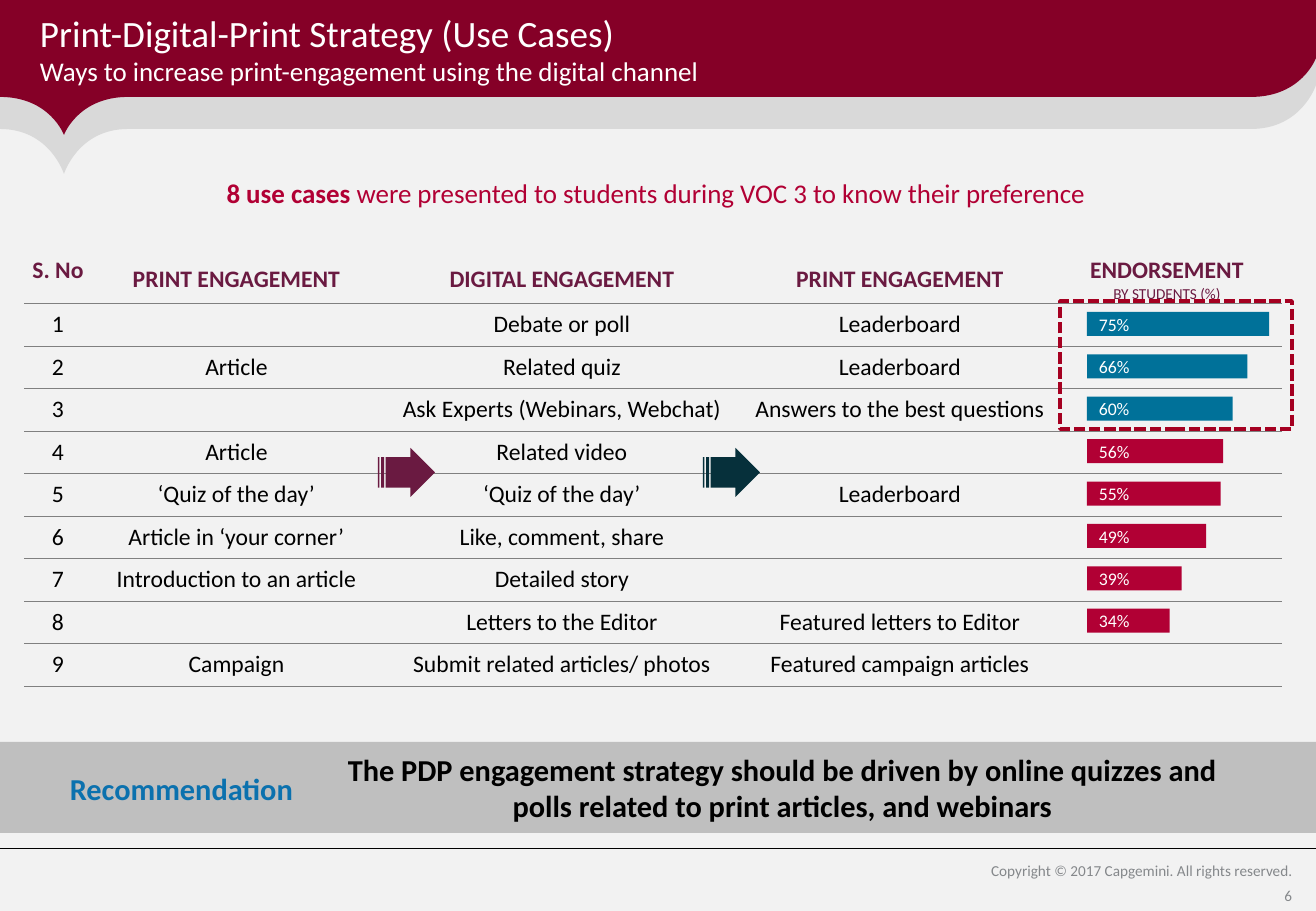
import pptx
import pptx.util
import pptx.dml.color
import pptx.enum.dml
import pptx.enum.shapes
import pptx.enum.text
import pptx.oxml
import pptx.oxml.ns

RGB = pptx.dml.color.RGBColor
ALIGN = pptx.enum.text.PP_ALIGN
ANCHOR = pptx.enum.text.MSO_ANCHOR
SHAPE = pptx.enum.shapes.MSO_SHAPE
Pt = pptx.util.Pt
qn = pptx.oxml.ns.qn

PAPER = RGB(0xF2, 0xF2, 0xF2)
SILVER = RGB(0xD9, 0xD9, 0xD9)
MAROON = RGB(0x85, 0x00, 0x27)
PLUM = RGB(0x6A, 0x1A, 0x41)
NAVY = RGB(0x06, 0x30, 0x3B)
TEAL = RGB(0x00, 0x71, 0x99)
CRIMSON = RGB(0xB1, 0x00, 0x34)
DASH_RED = RGB(0xA5, 0x00, 0x21)
BLUE = RGB(0x0B, 0x71, 0xAE)
BAND_GREY = RGB(0xBF, 0xBF, 0xBF)
FOOT_GREY = RGB(0x85, 0x88, 0x8B)
RULE_GREY = RGB(0x80, 0x80, 0x80)
WHITE = RGB(0xFF, 0xFF, 0xFF)
BLACK = RGB(0x00, 0x00, 0x00)

FONT = "Calibri"
WIDTH, HEIGHT = 1316, 911
TITLE = [("Print-Digital-Print Strategy (Use Cases)", 22),
         ("Ways to increase print-engagement using the digital channel", 16)]
HEADLINE = [("8 use cases ", True),
            ("were presented to students during VOC 3 to know their preference", False)]
HEADERS = ["S. No", "PRINT ENGAGEMENT", "", "DIGITAL ENGAGEMENT", "",
           "PRINT ENGAGEMENT", "ENDORSEMENT"]
HEADER_NOTE = "BY STUDENTS (%)"
USE_CASES = [  # print, digital, print
    ("", "Debate or poll", "Leaderboard"),
    ("Article", "Related quiz", "Leaderboard"),
    ("", "Ask Experts (Webinars, Webchat)", "Answers to the best questions"),
    ("Article", "Related video", ""),
    ("‘Quiz of the day’", "‘Quiz of the day’", "Leaderboard"),
    ("Article in ‘your corner’", "Like, comment, share", ""),
    ("Introduction to an article", "Detailed story", ""),
    ("", "Letters to the Editor", "Featured letters to Editor"),
    ("Campaign", "Submit related articles/ photos", "Featured campaign articles"),
]
ENDORSEMENT = [75, 66, 60, 56, 55, 49, 39, 34]
TOP_PICKS = 3
MESSAGE = ("The PDP engagement strategy should be driven by online quizzes and "
           "polls related to print articles, and webinars")
COLUMNS = [68, 289, 19, 324, 24, 304, 230]
TABLE_LEFT, TABLE_TOP, HEADER_H, BODY_H = 24, 256, 47, 383
BAR_LEFT, BAR_TOP, BAR_STEP, BAR_H, FULL_BAR = 1087, 312, 42.4, 24, 243
ARROWS = [(378, PLUM), (703, NAVY)]
BANDS = [(18, 129, 174, 85, SILVER), (0, 97, 135, 58, MAROON)]
LABELS = [  # box, text, size, colour, bold, alignment, side margin
    ((878, 857, 426, 27), "Copyright © 2017 Capgemini. All rights reserved.",
     9, FOOT_GREY, False, ALIGN.RIGHT, 12),
    ((997, 884, 307, 23), "6", 9, FOOT_GREY, False, ALIGN.RIGHT, 12),
    ((69, 743, 225, 91), "Recommendation", 18, BLUE, True, ALIGN.CENTER, 0),
]


def px(n):
    return round(n * 914400 / 121.5)


def box(*lengths):
    return [px(n) for n in lengths]


def style(p, size, colour, bold=False, align=ALIGN.LEFT):
    p.alignment = align
    p.font.name, p.font.size, p.font.bold = FONT, Pt(size), bold
    p.font.color.rgb = colour


def add_block(slide, kind, bounds, colour=None):
    sp = slide.shapes.add_shape(kind, *box(*bounds))
    sp.shadow.inherit = False
    sp.line.fill.background()
    if colour is None:
        sp.fill.background()
    else:
        sp.fill.solid()
        sp.fill.fore_color.rgb = colour
    return sp


def add_square_block(slide, bounds, colour=None):
    """Rounded rectangle with its corner radius at zero."""
    sp = add_block(slide, SHAPE.ROUNDED_RECTANGLE, bounds, colour)
    sp.adjustments[0] = 0
    return sp


def bend(lines):
    """Turn three line segments into one cubic curve through their points."""
    curve = pptx.oxml.parse_xml(f'<a:cubicBezTo {pptx.oxml.ns.nsdecls("a")}/>')
    lines[0].addprevious(curve)
    for line in lines:
        curve.append(line[0])
        line.getparent().remove(line)


def add_band(slide, top, bottom, dip, corner, colour):
    """Title band with a pointed dip at left and a rounded right corner."""
    tip, end = (64, dip), (WIDTH, corner)
    points = [(0, top), (0, bottom),
              (50, bottom), tip, tip,
              tip, (78, bottom), (128, bottom),
              (1251, bottom),
              (1302, bottom), end, end]
    builder = slide.shapes.build_freeform(px(WIDTH), px(top))
    builder.add_line_segments([(px(x), px(y)) for x, y in points], close=True)
    sp = builder.convert_to_shape()
    lines = list(sp._element.iter(qn("a:lnTo")))
    for start in (2, 5, 9):
        bend(lines[start:start + 3])
    sp.shadow.inherit = False
    sp.fill.solid()
    sp.fill.fore_color.rgb = colour
    sp.line.fill.background()


def set_borders(cell, ruled):
    """Draw the sides named in ruled and clear the others."""
    tc_pr = cell._tc.get_or_add_tcPr()
    for side in "LRTB":
        fill = (f'<a:solidFill><a:srgbClr val="{RULE_GREY}"/></a:solidFill>'
                if side in ruled else "<a:noFill/>")
        tc_pr.append(pptx.oxml.parse_xml(
            f'<a:ln{side} {pptx.oxml.ns.nsdecls("a")} w="3175">{fill}</a:ln{side}>'))


def add_use_case_table(slide):
    rows = [HEADERS] + [[str(n), first, "", digital, "", last, ""]
                        for n, (first, digital, last) in enumerate(USE_CASES, 1)]
    table = slide.shapes.add_table(len(rows), len(COLUMNS), *box(
        TABLE_LEFT, TABLE_TOP, sum(COLUMNS), HEADER_H + BODY_H)).table
    table.first_row = table.horz_banding = False
    for column, width in zip(table.columns, COLUMNS):
        column.width = px(width)
    for i, row in enumerate(rows):
        table.rows[i].height = px(BODY_H / len(USE_CASES) if i else HEADER_H)
        for j, text in enumerate(row):
            cell = table.cell(i, j)
            set_borders(cell, "TB" if i else "B")
            cell.fill.background()
            cell.margin_left = cell.margin_right = cell.margin_top = cell.margin_bottom = 0
            cell.vertical_anchor = ANCHOR.MIDDLE if i or j else ANCHOR.TOP
            if text:
                cell.text = text
                style(cell.text_frame.paragraphs[0], 14, BLACK if i else PLUM,
                      not i, ALIGN.CENTER)
    p = table.cell(0, len(COLUMNS) - 1).text_frame.add_paragraph()
    p.text = HEADER_NOTE
    style(p, 9, PLUM, False, ALIGN.CENTER)


def add_text(slide, bounds):
    tf = slide.shapes.add_textbox(*box(*bounds)).text_frame
    tf.word_wrap = True
    return tf


def main():
    prs = pptx.Presentation()
    prs.slide_width, prs.slide_height = box(WIDTH, HEIGHT)
    slide = prs.slides.add_slide(prs.slide_layouts[5])

    add_block(slide, SHAPE.RECTANGLE, (0, 58, WIDTH, HEIGHT - 58), PAPER)
    for band in BANDS:
        add_band(slide, *band)
    rule = slide.shapes.add_connector(pptx.enum.shapes.MSO_CONNECTOR.STRAIGHT,
                                      *box(0, 848, WIDTH, 848))
    rule.line.color.rgb = BLACK
    rule.line.width = Pt(0.25)
    rule._element.spPr.append(pptx.oxml.parse_xml(
        f'<a:effectLst {pptx.oxml.ns.nsdecls("a")}/>'))

    title = slide.shapes.title
    slide.shapes._spTree.append(title._element)  # bring in front of the bands
    title.left, title.top, title.width, title.height = box(0, 0, WIDTH, 97)
    tf = title.text_frame
    tf.auto_size = pptx.enum.text.MSO_AUTO_SIZE.NONE
    tf.vertical_anchor = ANCHOR.MIDDLE
    tf.margin_left, tf.margin_top, tf.margin_right, tf.margin_bottom = box(40, 5, 22, 5)
    tf.text = "\n".join(text for text, size in TITLE)
    for p, (text, size) in zip(tf.paragraphs, TITLE):
        style(p, size, WHITE)

    add_use_case_table(slide)
    for left, colour in ARROWS:
        sp = add_block(slide, SHAPE.STRIPED_RIGHT_ARROW, (left, 448, 57, 49), colour)
        sp.adjustments[0] = 0.62

    for i, share in enumerate(ENDORSEMENT):
        sp = add_block(slide, SHAPE.RECTANGLE,
                       (BAR_LEFT, BAR_TOP + BAR_STEP * i, FULL_BAR * share / 100, BAR_H),
                       TEAL if i < TOP_PICKS else CRIMSON)
        tf = sp.text_frame
        tf.margin_top = tf.margin_bottom = 0
        tf.vertical_anchor = ANCHOR.MIDDLE
        tf.text = f"{share}%"
        style(tf.paragraphs[0], 10.5, WHITE)

    p = add_text(slide, (-2, 174, WIDTH, 41)).paragraphs[0]
    style(p, 16, CRIMSON, False, ALIGN.CENTER)
    p.line_spacing = 0.9
    for text, bold in HEADLINE:
        r = p.add_run()
        r.text, r.font.bold = text, bold

    add_square_block(slide, (0, 742, WIDTH, 91), BAND_GREY)
    for bounds, text, size, colour, bold, align, margin in LABELS:
        tf = add_text(slide, bounds)
        tf.vertical_anchor = ANCHOR.MIDDLE
        tf.margin_left = tf.margin_right = px(margin)
        tf.text = text
        style(tf.paragraphs[0], size, colour, bold, align)
    tf = add_square_block(slide, (319, 742, 927, 91)).text_frame
    tf.text = MESSAGE
    style(tf.paragraphs[0], 18, BLACK, True, ALIGN.CENTER)

    frame = add_block(slide, SHAPE.RECTANGLE, (1060, 301, 232, 128))
    frame.line.color.rgb = DASH_RED
    frame.line.width = Pt(2.25)
    frame.line.dash_style = pptx.enum.dml.MSO_LINE.SQUARE_DOT
    prs.save("out.pptx")


if __name__ == "__main__":
    main()
